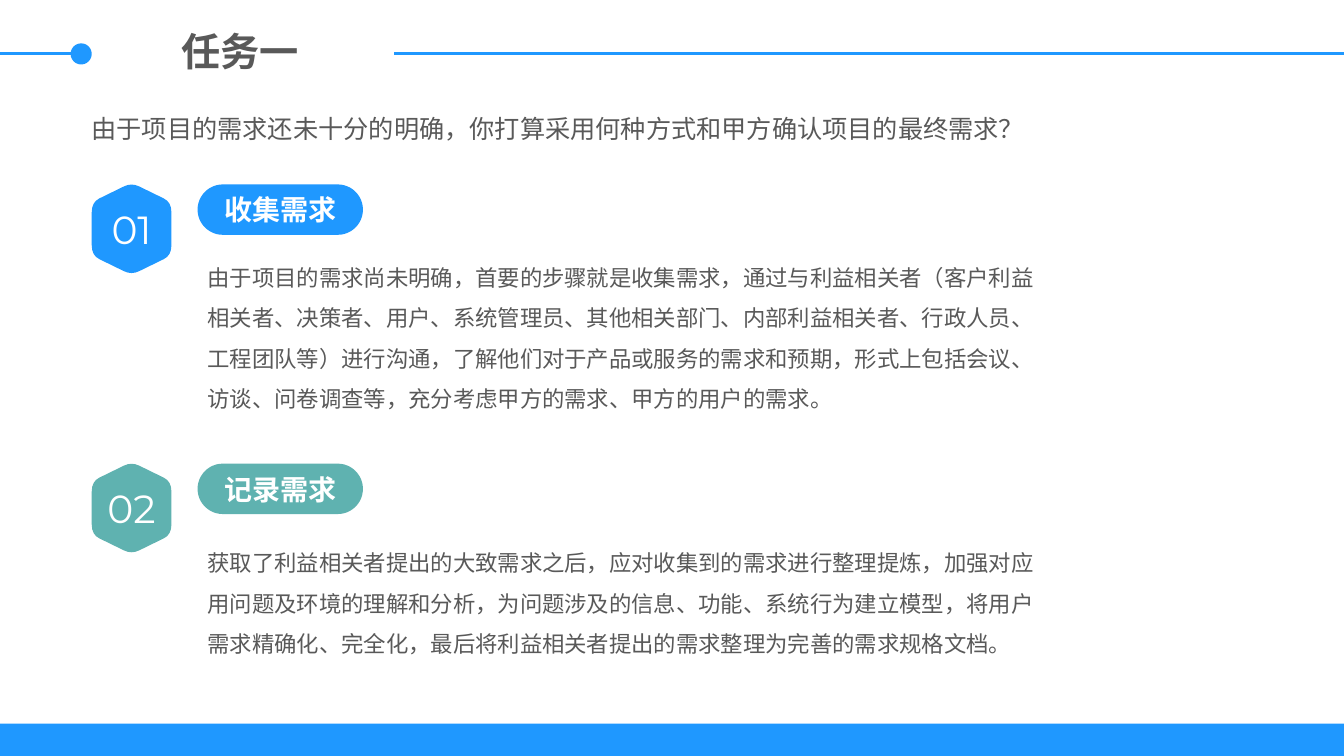
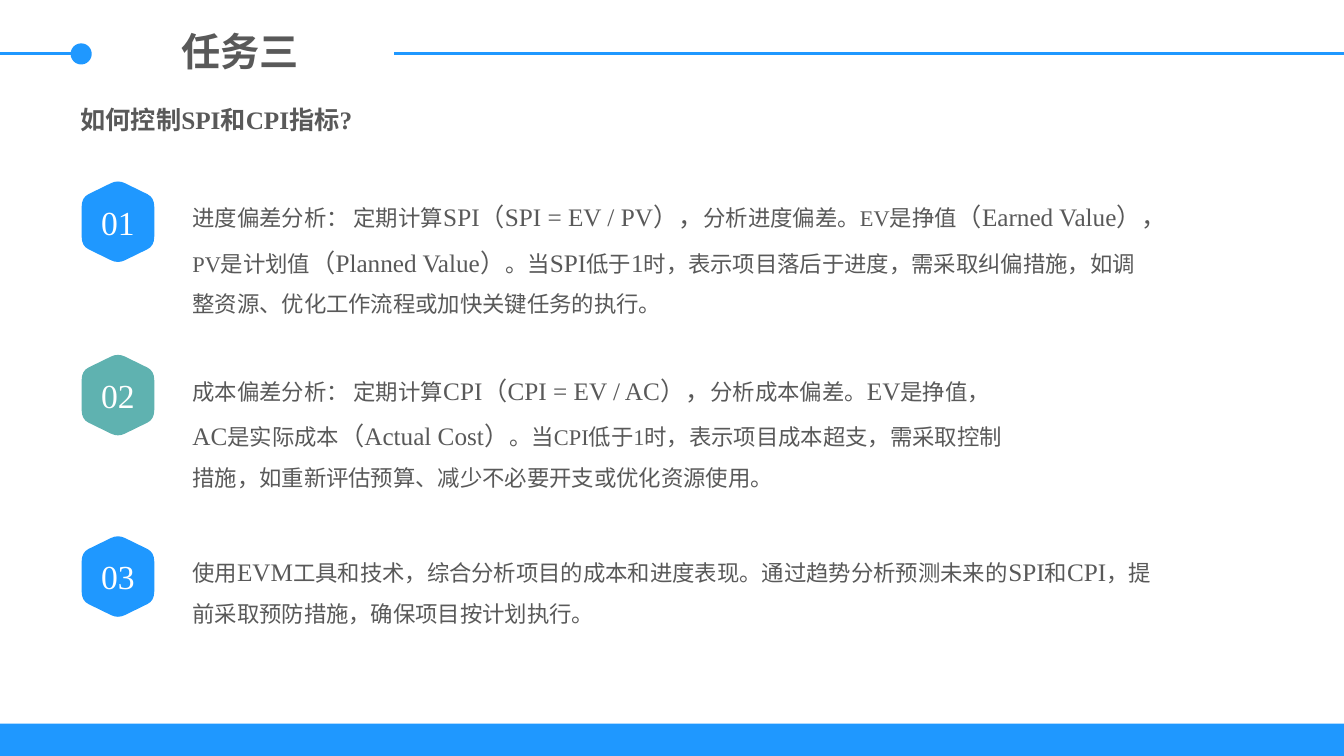
import pptx
import pptx.util
import pptx.dml.color
import pptx.enum.shapes
import pptx.enum.text
import pptx.oxml.ns
import lxml.etree
from dataclasses import dataclass
from itertools import cycle

Inches = pptx.util.Inches
Shape = pptx.enum.shapes.MSO_SHAPE
Align = pptx.enum.text.PP_ALIGN
Anchor = pptx.enum.text.MSO_ANCHOR
qname = pptx.oxml.ns.qn


@dataclass(frozen=True)
class Theme:
    blue: str = "1F98FF"
    teal: str = "5FB2B0"
    grey: str = "595959"
    white: str = "FFFFFF"
    sans: str = "Noto Sans CJK SC"
    serif: str = "Times New Roman"
    numeral: str = "Montserrat"
    title: int = 28
    pill: int = 20
    lead: int = 18
    body: int = 16
    spacing: float = 1.5


THEME = Theme()
WIDTH, HEIGHT = 13.33, 7.5

# Content: body text alternates between normal and larger runs
SLIDES = [
    {
        "title": "任务一", "font": THEME.sans,
        "question": {
            "text": "由于项目的需求还未十分的明确，你打算采用何种方式和甲方确认项目的最终需求？",
            "at": (0.81, 0.93, 9.53, 0.5), "bold": False, "spacing": THEME.spacing,
        },
        "badge": {"left": 0.91, "size": (0.79, 0.88), "font": THEME.numeral, "points": 28},
        "body_left": 1.96,
        "items": [
            {"top": 1.83, "pill": "收集需求", "drop": 0.61, "body": (8.45, 1.67), "runs": [
                "由于项目的需求尚未明确，首要的步骤就是收集需求，通过与利益相关者（客户利益相关者、"
                "决策者、用户、系统管理员、其他相关部门、内部利益相关者、行政人员、工程团队等）进行沟通，"
                "了解他们对于产品或服务的需求和预期，形式上包括会议、访谈、问卷调查等，"
                "充分考虑甲方的需求、甲方的用户的需求。"]},
            {"top": 4.6, "pill": "记录需求", "drop": 0.67, "body": (8.45, 1.27), "runs": [
                "获取了利益相关者提出的大致需求之后，应对收集到的需求进行整理提炼，"
                "加强对应用问题及环境的理解和分析，为问题涉及的信息、功能、系统行为建立模型，"
                "将用户需求精确化、完全化，最后将利益相关者提出的需求整理为完善的需求规格文档。"]},
        ],
    },
    {
        "title": "任务三", "font": THEME.serif,
        "question": {
            "text": "如何控制SPI和CPI指标?",
            "at": (0.7, 0.99, 6.68, 0.71), "bold": True, "spacing": None,
        },
        "badge": {"left": 0.81, "size": (0.72, 0.8), "font": THEME.serif, "points": 24},
        "body_left": 1.81,
        "items": [
            {"top": 1.8, "drop": 0, "body": (9.71, 1.37), "runs": [
                "进度偏差分析： 定期计算", "SPI（SPI = EV / PV），", "分析进度偏差。EV是挣值",
                "（Earned Value），", "PV是计划值", "（Planned Value）", "。当", "SPI", "低于", "1",
                "时，表示项目落后于进度，需采取纠偏措施，如调整资源、优化工作流程或加快关键任务的执行。"]},
            {"top": 3.52, "drop": 0, "body": (8.45, 1.37), "runs": [
                "成本偏差分析： 定期计算", "CPI（CPI = EV / AC），", "分析成本偏差。", "EV",
                "是挣值，", "AC", "是实际成本", "（Actual Cost）",
                "。当CPI低于1时，表示项目成本超支，需采取控制措施，"
                "如重新评估预算、减少不必要开支或优化资源使用。"]},
            {"top": 5.32, "drop": 0, "body": (9.71, 0.91), "runs": [
                "使用", "EVM", "工具和技术，综合分析项目的成本和进度表现。通过趋势分析预测未来的",
                "SPI", "和", "CPI", "，提前采取预防措施，确保项目按计划执行。"]},
        ],
    },
]


def rgb(color):
    return pptx.dml.color.RGBColor.from_string(color)


def write(shape, runs, font, points, color, bold=False, align=Align.LEFT, spacing=None):
    """Fill the first paragraph; every second run takes the lead size."""
    para = shape.text_frame.paragraphs[0]
    para.alignment = align
    para.line_spacing = spacing
    para.font.name = font
    para.font.size = pptx.util.Pt(points)
    para.font.bold = bold
    para.font.color.rgb = rgb(color)
    # Chinese glyphs always use the sans font
    defaults = para._p.pPr.find(qname("a:defRPr"))
    lxml.etree.SubElement(defaults, qname("a:ea")).set("typeface", THEME.sans)
    for index, text in enumerate(runs):
        span = para.add_run()
        span.text = text
        if index % 2:
            span.font.size = pptx.util.Pt(THEME.lead)


def add_text(shapes, at, runs, font, points, **style):
    box = shapes.add_textbox(*map(Inches, at))
    box.text_frame.word_wrap = True
    box.text_frame.auto_size = pptx.enum.text.MSO_AUTO_SIZE.SHAPE_TO_FIT_TEXT
    write(box, runs, font, points, THEME.grey, **style)


def paint(shape, color):
    shape.shadow.inherit = False
    shape.fill.solid()
    shape.fill.fore_color.rgb = rgb(color)
    shape.line.fill.background()
    return shape


def add_filled(shapes, kind, at, color):
    return paint(shapes.add_shape(kind, *map(Inches, at)), color)


def add_rule(page, start, end, y):
    rule = page.shapes.add_connector(
        pptx.enum.shapes.MSO_CONNECTOR.STRAIGHT, *map(Inches, (start, y, end, y)))
    rule.line.color.rgb = rgb(THEME.blue)
    rule.line.width = pptx.util.Pt(2.25)
    lxml.etree.SubElement(rule._element.spPr, qname("a:effectLst"))


def round_hexagon(outline, cut=0.19):
    """Redraw a freeform's outline as a hexagon with curved corners."""
    corners = [(500, -20), (1000, 200), (1000, 800), (500, 1020), (0, 800), (0, 200)]

    def toward(corner, other, share):
        return tuple(round(c + share * (o - c)) for c, o in zip(corner, other))

    def draw(command, *points):
        step = lxml.etree.SubElement(outline, qname(f"a:{command}"))
        for x, y in points:
            point = lxml.etree.SubElement(step, qname("a:pt"))
            point.set("x", str(x))
            point.set("y", str(y))

    for child in list(outline):
        outline.remove(child)
    outline.set("w", "1000")
    outline.set("h", "1000")
    for index, corner in enumerate(corners):
        before, after = corners[index - 1], corners[(index + 1) % len(corners)]
        draw("lnTo" if index else "moveTo", toward(corner, before, cut))
        draw("cubicBezTo", toward(corner, before, cut / 3), toward(corner, after, cut / 3),
             toward(corner, after, cut))
    draw("close")


def add_badge(shapes, badge, top, label, color):
    left, (width, height) = badge["left"], badge["size"]
    right, bottom = left + width, top + height
    builder = shapes.build_freeform(Inches(left), Inches(top))
    builder.add_line_segments([tuple(map(Inches, point)) for point in
                               [(right, top), (right, bottom), (left, bottom)]])
    hexagon = paint(builder.convert_to_shape(), color)
    round_hexagon(next(hexagon._element.iter(qname("a:path"))))
    hexagon.text_frame.vertical_anchor = Anchor.MIDDLE
    write(hexagon, [label], badge["font"], badge["points"], THEME.white, align=Align.CENTER)


def add_pill(shapes, left, top, label, font, color):
    pill = add_filled(shapes, Shape.ROUNDED_RECTANGLE, (left, top, 1.64, 0.5), color)
    pill.adjustments[0] = 0.5
    frame = pill.text_frame
    frame.vertical_anchor = Anchor.MIDDLE
    frame.margin_left = frame.margin_right = Inches(0.13)
    frame.margin_top = frame.margin_bottom = Inches(0.06)
    write(pill, [label], font, THEME.pill, THEME.white, bold=True, align=Align.CENTER)


def add_frame(page, title, font):
    """Title, header rules with dot, and footer band."""
    add_text(page.shapes, (0.99, 0.22, 2.78, 0.57), [title], font, THEME.title,
             bold=True, align=Align.CENTER)
    for start, end in [(0, 0.72), (3.91, WIDTH)]:
        add_rule(page, start, end, 0.53)
    add_filled(page.shapes, Shape.OVAL, (0.7, 0.43, 0.21, 0.21), THEME.blue)
    add_filled(page.shapes, Shape.RECTANGLE, (0, 7.18, WIDTH, 0.34), THEME.blue)


def build_page(deck, content):
    page = deck.slides.add_slide(deck.slide_layouts[6])
    font, question, left = content["font"], content["question"], content["body_left"]
    add_frame(page, content["title"], font)
    add_text(page.shapes, question["at"], [question["text"]], font, THEME.lead,
             bold=question["bold"], spacing=question["spacing"])
    # Numbered items in alternating colours
    colors = cycle([THEME.blue, THEME.teal])
    for number, (item, color) in enumerate(zip(content["items"], colors), 1):
        shapes = page.shapes.add_group_shape().shapes
        add_badge(shapes, content["badge"], item["top"], f"{number:02}", color)
        if "pill" in item:
            add_pill(shapes, left, item["top"], item["pill"], font, color)
        add_text(shapes, (left, item["top"] + item["drop"], *item["body"]), item["runs"],
                 font, THEME.body, spacing=THEME.spacing)


def main():
    deck = pptx.Presentation()
    deck.slide_width, deck.slide_height = Inches(WIDTH), Inches(HEIGHT)
    for content in SLIDES:
        build_page(deck, content)
    deck.save("out.pptx")


if __name__ == "__main__":
    main()
